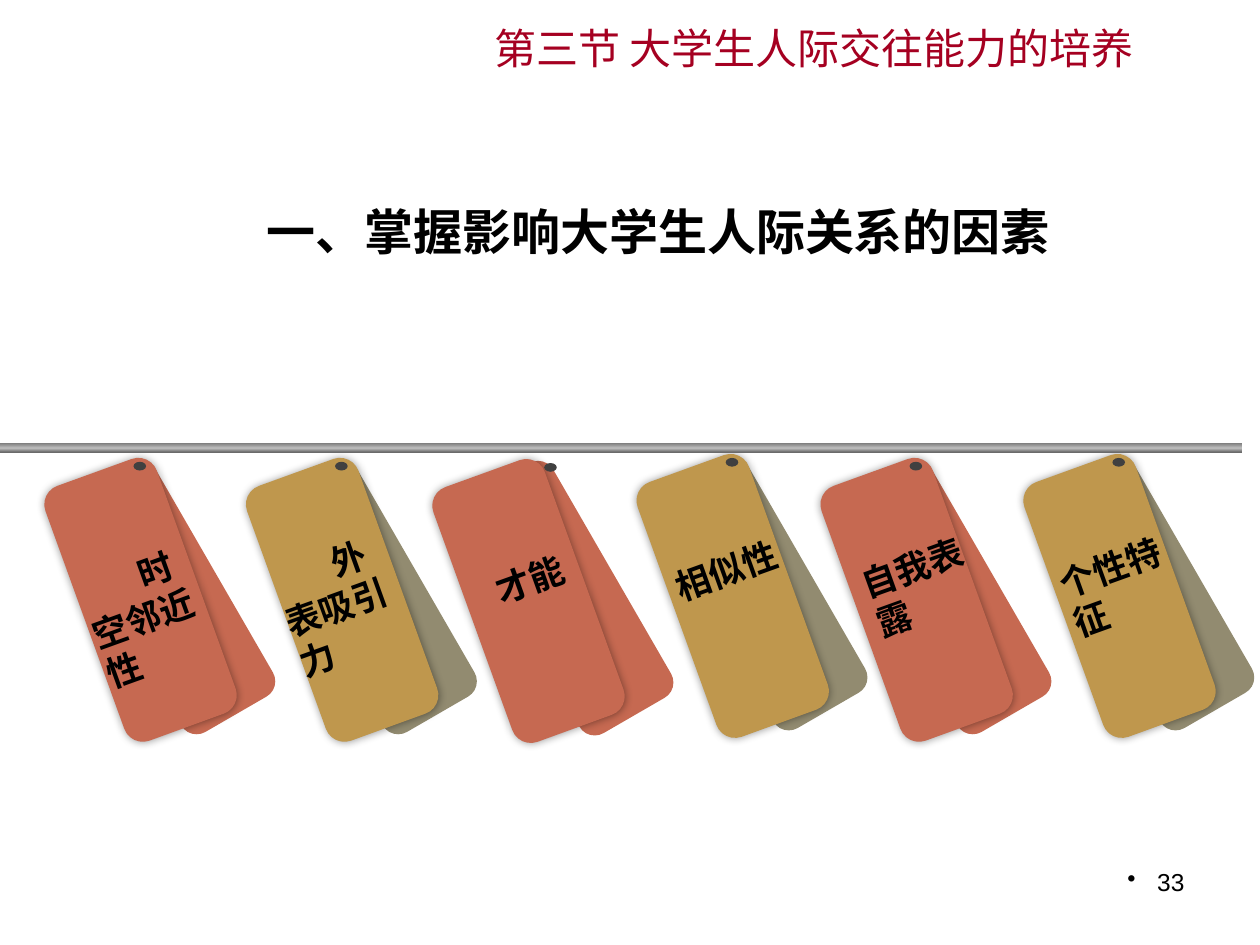
from lxml import etree
from pptx import Presentation
from pptx.dml.color import RGBColor
from pptx.enum.dml import MSO_THEME_COLOR
from pptx.enum.shapes import MSO_SHAPE
from pptx.enum.text import MSO_ANCHOR, MSO_AUTO_SIZE, PP_ALIGN
from pptx.oxml.ns import qn
from pptx.util import Pt

ROUNDED, ELLIPSE = MSO_SHAPE.ROUNDED_RECTANGLE, MSO_SHAPE.OVAL
LEFT, CENTER, RIGHT = PP_ALIGN.LEFT, PP_ALIGN.CENTER, PP_ALIGN.RIGHT
TOP = MSO_ANCHOR.TOP

# Content
SECTION = "第三节 大学生人际交往能力的培养"
HEADING = "一、掌握影响大学生人际关系的因素"
PAGE_NUMBER = "33"
INDENTED = {"indent": 36}
CENTERED = {"align": CENTER, "line_spacing": 1.1}
# label, card left and top, label left and top, label format
TAGS = [
    ("时空邻近性", 2.9, 308.9, 56.2, 316.1, INDENTED),
    ("外表吸引力", 118.1, 308.9, 166.3, 309.6, INDENTED),
    ("才能", 224.6, 309.6, 283, 314.6, CENTERED),
    ("相似性", 341.3, 306.7, 395.3, 309.6, CENTERED),
    ("自我表露", 446.4, 308.9, 504, 309.6, {}),
    ("个性特征", 562.3, 306.7, 617, 309.6, {}),
]
WIDE_TAG = 2  # its back card and pin stand further right

THEME = {
    "latin": "Arial", "cjk": "Noto Sans CJK SC",
    "text": "000000", "section": "A50021", "pin": "404040",
    "cards": [("C66951", "C66951"), ("BF974D", "928B70")],  # front, back
    "rail": ["808080", "BFBFBF", "6B6B6B"], "rail_stops": [0, 0.55, 1],
    "heading_size": 28, "section_size": 24, "label_size": 20, "page_size": 14,
}


def color(name):
    return RGBColor.from_string(name)


def write(shape, text, size, font="cjk", ink="text", bold=False, align=LEFT,
          line_spacing=None, indent=0, bullet=None, margin=None, wrap=True):
    frame = shape.text_frame
    frame.word_wrap = wrap
    frame.auto_size = MSO_AUTO_SIZE.NONE
    frame.vertical_anchor = TOP
    if margin is not None:
        frame.margin_left = frame.margin_right = Pt(margin)
        frame.margin_top = frame.margin_bottom = Pt(margin)
    paragraph = frame.paragraphs[0]
    properties = paragraph._p.get_or_add_pPr()
    if indent:
        properties.set("marL", "0")
        properties.set("indent", str(Pt(indent)))
    if bullet:
        etree.SubElement(properties, qn("a:buChar"), char=bullet)
    paragraph.alignment = align
    if line_spacing:
        paragraph.line_spacing = line_spacing
    run = paragraph.add_run()
    run.text = text
    run.font.size = Pt(THEME[size])
    run.font.bold = bold
    run.font.color.rgb = color(THEME[ink])
    run.font.name = THEME[font]
    etree.SubElement(run._r.get_or_add_rPr(), qn("a:ea"), typeface=THEME["cjk"])


def add_text(shapes, box, text, size, rotation=0, **text_format):
    shape = shapes.add_textbox(*map(Pt, box))
    shape.rotation = rotation
    write(shape, text, size, **text_format)


def add_plain(shapes, kind, box, fill=None, rotation=0):
    shape = shapes.add_shape(kind, *map(Pt, box))
    shape.rotation = rotation
    shape.shadow.inherit = False
    shape.line.fill.background()
    if fill:
        shape.fill.solid()
        shape.fill.fore_color.rgb = color(fill)
    return shape


def add_glow(shape):
    effects = shape._element.spPr.find(qn("a:effectLst"))
    shadow = etree.SubElement(effects, qn("a:outerShdw"), blurRad=str(Pt(5)),
                              dist="0", dir="0", algn="ctr", rotWithShape="0")
    black = etree.SubElement(shadow, qn("a:srgbClr"), val="000000")
    etree.SubElement(black, qn("a:alpha"), val="40000")


def add_tag(slide, index, label, left, top, label_left, label_top, label_format):
    front, back = THEME["cards"][index % 2]
    back_shift, pin_shift = (21.6, 86.4) if index == WIDE_TAG else (15.8, 73.4)
    shapes = slide.shapes.add_group_shape().shapes
    add_plain(shapes, ROUNDED, (left + back_shift, top + 2, 154.8, 60.5), back, 60)
    add_glow(add_plain(shapes, ROUNDED, (left, top, 154.8, 67.7), front, 70.1))
    add_plain(shapes, ELLIPSE, (left + pin_shift, top - 45, 7.2, 5), THEME["pin"])
    add_text(shapes, (label_left, label_top, 63, 98.6), label, "label_size",
             rotation=340.2, bold=True, margin=0, **label_format)


def add_rail(slide):
    rail = add_plain(slide.shapes, ROUNDED, (-11.5, 253.4, 721.4, 5))
    rail.adjustments[0] = 0
    rail.fill.gradient()
    rail.fill.gradient_angle = 270
    stop_list = rail.fill._xPr.find(qn("a:gradFill")).find(qn("a:gsLst"))
    for stop in list(stop_list):
        stop_list.remove(stop)
    for position, shade in zip(THEME["rail_stops"], THEME["rail"]):
        stop = etree.SubElement(stop_list, qn("a:gs"), pos=str(int(position * 100000)))
        etree.SubElement(stop, qn("a:srgbClr"), val=shade)


def main():
    presentation = Presentation()
    presentation.slide_width, presentation.slide_height = Pt(720), Pt(540)
    slide = presentation.slides.add_slide(presentation.slide_layouts[5])

    # Section title
    title = slide.shapes.title
    title.left, title.top, title.width, title.height = map(Pt, (234.7, -5, 420.5, 51.1))
    write(title, SECTION, "section_size", ink="section", align=RIGHT, line_spacing=1.5)

    # Heading and page number
    add_text(slide.shapes, (145.4, 111.6, 468.7, 41), HEADING, "heading_size",
             font="latin", bold=True, wrap=False)
    add_text(slide.shapes, (516.2, 491.8, 167.8, 37.4), PAGE_NUMBER, "page_size",
             font="latin", align=RIGHT, bullet="•")

    # Tags hanging from the rail
    for index, tag in enumerate(TAGS):
        add_tag(slide, index, *tag)
    add_rail(slide)

    presentation.save("out.pptx")


if __name__ == "__main__":
    main()
